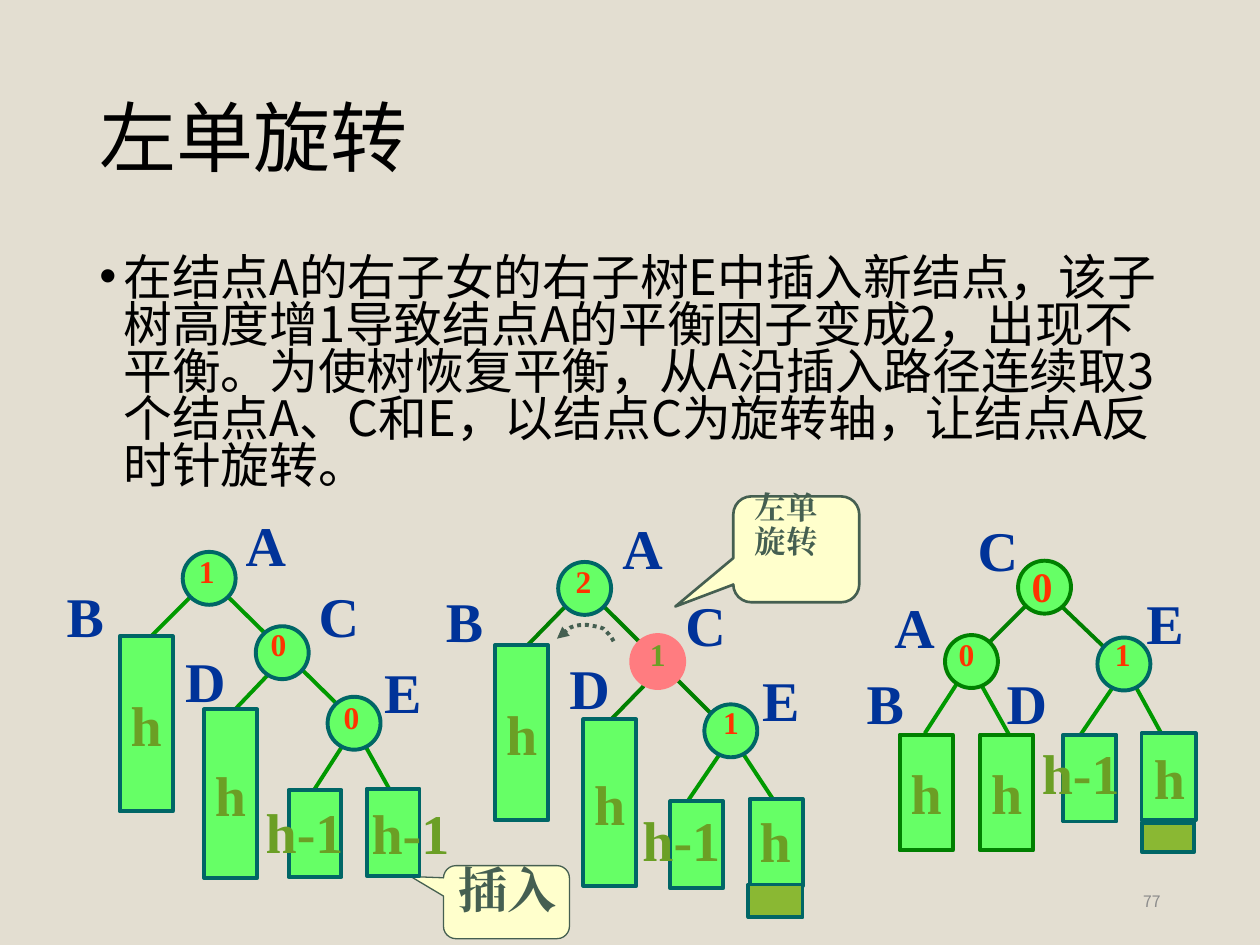
from lxml import etree
from pptx import Presentation
from pptx import util as u
from pptx.dml.color import RGBColor
from pptx.enum import dml, shapes, text
from pptx.oxml.ns import qn

PX = 9144
BEIGE = RGBColor(0xE3, 0xDE, 0xD1)
BLACK = RGBColor(0x00, 0x00, 0x00)
GRAY = RGBColor(0x8C, 0x8C, 0x8C)
CREAM = RGBColor(0xFF, 0xFF, 0xCC)
SLATE = RGBColor(0x45, 0x5F, 0x51)
NAVY = RGBColor(0x00, 0x33, 0x99)
RED = RGBColor(0xFF, 0x33, 0x00)
PINK = RGBColor(0xFF, 0x7C, 0x80)
LIME = RGBColor(0x66, 0xFF, 0x66)
OLIVE = RGBColor(0x8A, 0xB8, 0x33)
LEAF = RGBColor(0x6B, 0x9F, 0x25)
TEAL = RGBColor(0x00, 0x66, 0x66)
GREEN = RGBColor(0x00, 0x99, 0x00)
DARK = RGBColor(0x00, 0x80, 0x00)
SERIF = "Times New Roman"
SANS = "Noto Sans CJK SC"
NODE = 42
ROUND = shapes.MSO_SHAPE.ROUNDED_RECTANGULAR_CALLOUT
LEFT, CENTER, RIGHT = text.PP_ALIGN.LEFT, text.PP_ALIGN.CENTER, text.PP_ALIGN.RIGHT
TOP, MIDDLE = text.MSO_ANCHOR.TOP, text.MSO_ANCHOR.MIDDLE


def px(*values):
    return [u.Emu(v * PX) for v in values]


def apply(obj, fmt):
    for name, value in fmt.items():
        setattr(obj, name, value)


def write(tf, lines, size, color, font=SERIF, bold=True, wrap=False, anchor=TOP, **para):
    apply(tf, {"word_wrap": wrap, "vertical_anchor": anchor})
    for i, line in enumerate(lines):
        p = tf.paragraphs[0] if i == 0 else tf.add_paragraph()
        apply(p, {"alignment": LEFT, **para})
        r = p.add_run()
        r.text = line
        apply(r.font, {"name": font, "size": u.Pt(size), "bold": bold})
        r.font.color.rgb = color
        etree.SubElement(r.font._element, qn("a:ea"), typeface=font)
    return tf


def label(sps, box, lines, size, color, **fmt):
    return write(sps.add_textbox(*px(*box)).text_frame, lines, size, color, **fmt)


def block(sps, kind, box, fill, line, width=2.25):
    sp = sps.add_shape(kind, *px(*box))
    sp.shadow.inherit = False
    sp.fill.solid()
    sp.fill.fore_color.rgb = fill
    sp.line.color.rgb = line
    sp.line.width = u.Pt(width)
    return sp


def edge(sps, x1, y1, x2, y2, color, width=2.25):
    sp = sps.add_connector(shapes.MSO_CONNECTOR.STRAIGHT, *px(x1, y1, x2, y2))
    sp.line.color.rgb = color
    sp.line.width = u.Pt(width)
    etree.SubElement(sp._element.spPr, qn("a:effectLst"))


def tree(s, x, y, edges, bars, nodes, names, heights):
    sps = s.shapes.add_group_shape().shapes
    for x1, y1, x2, y2, color in edges:
        edge(sps, x + x1, y + y1, x + x2, y + y2, color)
    for bx, by, w, h, caption, fill, line in bars:
        sp = block(sps, shapes.MSO_SHAPE.RECTANGLE, (x + bx, y + by, w, h), fill, line)
        if caption:
            write(sp.text_frame, [caption], 32, LEAF, anchor=MIDDLE, alignment=CENTER)
    for nx, ny, dx, dy, factor, size, color, fill, line in nodes:
        block(sps, shapes.MSO_SHAPE.OVAL, (x + nx, y + ny, NODE, NODE), fill, line)
        label(sps, (x + nx + dx, y + ny + dy, 37, 50), [factor], size, color)
    for name, nx, ny in names:
        label(sps, (x + nx, y + ny, 52, 63), [name], 32, NAVY)
    for caption, hx, hy in heights:
        w = 82 if len(caption) > 1 else 45
        label(sps, (x + hx, y + hy, w, 63), [caption], 32, LEAF)
    return sps


def rotation_arc(sps, x, y, points):
    (x0, y0), *rest = [(x + a, y + b) for a, b in points]
    fb = sps.build_freeform(x0, y0, scale=PX)
    fb.add_line_segments(rest, close=False)
    sp = fb.convert_to_shape()
    sp.shadow.inherit = False
    sp.fill.background()
    sp.line.color.rgb = SLATE
    sp.line.width = u.Pt(2.25)
    sp.line.dash_style = dml.MSO_LINE.ROUND_DOT
    etree.SubElement(sp.line._get_or_add_ln(), qn("a:tailEnd"), type="triangle")
    outline = sp._element.find(".//" + qn("a:path"))
    steps = outline.findall(qn("a:lnTo"))
    for i in range(0, len(steps), 3):
        curve = etree.SubElement(outline, qn("a:cubicBezTo"))
        for step in steps[i:i + 3]:
            curve.append(step[0])
            outline.remove(step)


def callout(s, x, y, h, tip, width, lines, size, dx, dy, **fmt):
    sp = block(s.shapes, ROUND, (x, y, 100, h), CREAM, SLATE, width)
    for i, value in enumerate((*tip, 0.17)):
        sp.adjustments[i] = value
    label(s.shapes, (x + dx, y + dy, 100, h), lines, size, SLATE, wrap=True, **fmt)


def heading(s, x, y, w, h):
    label(s.shapes, (x, y, w, h), ["左单旋转"], 44, BLACK, font=SANS, bold=False,
          wrap=True, anchor=MIDDLE, line_spacing=0.9)


def body(s, x, y, w, h):
    content = ("在结点A的右子女的右子树E中插入新结点，该子树高度增1导致结点A的平衡因子变成2，"
               "出现不平衡。为使树恢复平衡，从A沿插入路径连续取3个结点A、C和E，"
               "以结点C为旋转轴，让结点A反时针旋转。")
    tf = label(s.shapes, (x, y, w, h), [content], 27.9, BLACK, font=SANS, bold=False,
               wrap=True, line_spacing=0.8)
    pPr = tf.paragraphs[0]._p.get_or_add_pPr()
    pPr.set("marL", str(19 * PX))
    pPr.set("indent", str(-19 * PX))
    etree.SubElement(pPr, qn("a:buFont"), typeface="Arial")
    etree.SubElement(pPr, qn("a:buChar"), char="•")


def page_number(s, x, y, w, h):
    label(s.shapes, (x, y, w, h), ["77"], 9, GRAY, font=SANS, bold=False,
          wrap=True, anchor=MIDDLE, alignment=RIGHT)


def main():
    prs = Presentation()
    prs.slide_width, prs.slide_height = px(1000, 750)
    s = prs.slides.add_slide(prs.slide_layouts[6])
    s.background.fill.solid()
    s.background.fill.fore_color.rgb = BEIGE

    edge(s.shapes, 566, 627, 566, 627, BLACK, 0.75)
    callout(s, 352, 687, 58, (-0.76, -0.35), 0.75, ["插入"], 28, 2, -10)
    callout(s, 582, 394, 84, (-0.96, 0.54), 1.5, ["左单", "旋转"], 18, 7, -8, line_spacing=0.9)

    plain, dark = (LIME, TEAL), (LIME, DARK)
    tree(s, 43, 400,
         [(234, 184, 203, 232, GREEN), (243, 185, 272, 237, GREEN), (120, 56, 241, 175, GREEN),
          (110, 72, 69, 113, GREEN), (175, 130, 135, 172, GREEN)],
         [(52, 105, 42, 139, "h", *plain), (119, 163, 42, 134, "h", *plain),
          (186, 227, 42, 69, "", *plain), (248, 226, 42, 69, "", *plain)],
         [(102, 38, 3, -5, "1", 18, RED, *plain), (160, 97, 2, -6, "0", 18, RED, *plain),
          (217, 153, 3, -4, "0", 18, RED, *plain)],
         [("A", 142, 0), ("B", 0, 57), ("C", 200, 57), ("D", 94, 108), ("E", 252, 117)],
         [("h-1", 158, 228), ("h-1", 242, 229)])

    unbalanced = tree(
        s, 344, 403,
        [(182, 126, 141, 168, DARK), (107, 76, 66, 118, DARK), (124, 67, 226, 169, DARK),
         (233, 187, 201, 234, GREEN), (241, 188, 270, 232, GREEN)],
        [(119, 168, 42, 132, "h", *plain), (49, 109, 42, 139, "h", *plain),
         (188, 233, 42, 69, "", *plain), (251, 231, 42, 69, "", *plain),
         (250, 299, 43, 26, "", OLIVE, TEAL)],
        [(99, 43, 4, -5, "2", 18, RED, *plain), (157, 101, 5, -5, "1", 18, LEAF, PINK, PINK),
         (215, 156, 5, -6, "1", 18, RED, *plain)],
        [("A", 140, 0), ("B", 0, 58), ("C", 190, 61), ("D", 98, 111), ("E", 251, 120)],
        [("h-1", 156, 231), ("h", 249, 232)])
    rotation_arc(unbalanced, 344, 403,
                 [(143, 106), (141, 102), (138, 99), (135, 96), (131, 94), (126, 94), (122, 93),
                  (118, 93), (113, 93), (109, 95), (106, 97), (100, 103), (98, 104)])

    tree(s, 678, 404,
         [(87, 130, 56, 178, GREEN), (96, 131, 125, 183, GREEN), (158, 71, 205, 116, DARK),
          (138, 75, 97, 116, DARK), (211, 133, 179, 180, GREEN), (219, 133, 248, 186, GREEN)],
         [(36, 179, 42, 92, "h", *dark), (100, 179, 42, 92, "h", *dark),
          (166, 179, 42, 69, "", *plain), (228, 178, 43, 69, "", *plain),
          (228, 249, 42, 23, "", OLIVE, TEAL)],
         [(72, 100, 1, -5, "0", 18, RED, *dark), (130, 41, 1, -5, "0", 24, RED, *dark),
          (193, 102, 4, -7, "1", 18, RED, *plain)],
         [("A", 22, 61), ("B", 0, 122), ("C", 88, 0), ("D", 111, 122), ("E", 222, 58)],
         [("h-1", 139, 177), ("h", 228, 181)])

    heading(s, 69, 40, 862, 145)
    body(s, 69, 200, 862, 200)
    page_number(s, 706, 695, 225, 40)
    prs.save("out.pptx")


if __name__ == "__main__":
    main()
